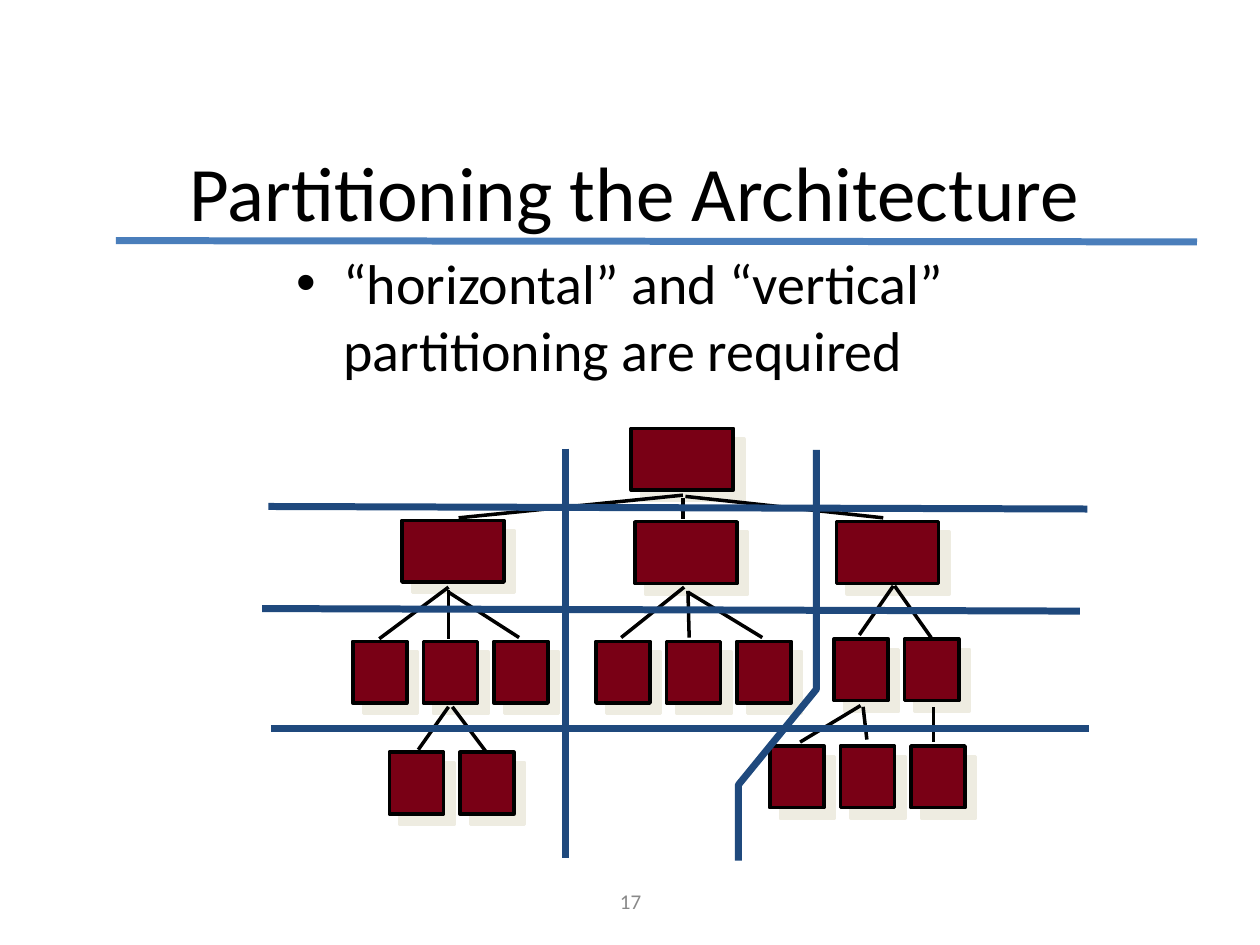
"""Build a slide on horizontal and vertical partitioning of an architecture."""
from lxml import etree
from pptx import Presentation
from pptx.dml.color import RGBColor
from pptx.enum.shapes import MSO_CONNECTOR, MSO_SHAPE
from pptx.enum.text import MSO_ANCHOR, MSO_AUTO_SIZE, PP_ALIGN
from pptx.oxml.ns import qn
from pptx.util import Inches, Pt

RECT = MSO_SHAPE.RECTANGLE
STRAIGHT = MSO_CONNECTOR.STRAIGHT
MIDDLE, TOP = MSO_ANCHOR.MIDDLE, MSO_ANCHOR.TOP
CENTER, LEFT = PP_ALIGN.CENTER, PP_ALIGN.LEFT
FIXED = MSO_AUTO_SIZE.NONE

FONT = "Calibri"
COLORS = {
    "ink": "000000",
    "box": "790015",
    "shade": "EEECE1",
    "cut": "1F497D",
    "rule": "4A7EBB",
    "page": "898989",
}
HIGH, WIDE, SMALL, STEP = 0.49, 0.81, 0.43, 0.56
PARENTS = [(5.01, 3.4), (3.19, 4.13), (5.04, 4.14), (6.64, 4.14)]
ROWS = [(2.8, 5.09, 3), (4.73, 5.09, 3), (6.62, 5.07, 2),
        (6.11, 5.92, 3), (3.09, 5.97, 2)]
LINKS = [
    (5.42, 3.93, 3.64, 4.11), (5.42, 3.95, 5.42, 4.12), (5.44, 3.94, 7.01, 4.11),
    (3.56, 4.66, 3.01, 5.07), (3.56, 4.68, 3.56, 5.07), (3.56, 4.7, 4.12, 5.06),
    (5.43, 4.66, 4.93, 5.06), (5.46, 4.69, 5.47, 5.06), (5.46, 4.7, 6.05, 5.06),
    (7.09, 4.65, 6.82, 5.04), (7.1, 4.65, 7.39, 5.06),
    (6.83, 5.6, 6.35, 5.89), (6.85, 5.61, 6.88, 5.87), (7.41, 5.61, 7.41, 5.89),
    (3.56, 5.61, 3.32, 5.95), (3.59, 5.61, 3.86, 5.97),
]
CUTS = [(2.08, 4.83, 8.57, 4.85), (2.15, 5.78, 8.64, 5.78),
        (4.49, 3.56, 4.49, 6.81), (2.13, 4.02, 8.63, 4.04)]
BEND = [(6.48, 3.57), (6.48, 5.47), (5.86, 6.23), (5.86, 6.83)]


def color(name):
    return RGBColor.from_string(COLORS[name])


def stroke(line, name, width):
    line.color.rgb = color(name)
    line.width = Pt(width)


def write(shape, area, text, size, name, align, anchor):
    shape.left, shape.top, shape.width, shape.height = map(Inches, area)
    frame = shape.text_frame
    frame.word_wrap = True
    frame.auto_size = FIXED
    frame.vertical_anchor = anchor
    frame.text = text
    para = frame.paragraphs[0]
    para.alignment = align
    para.font.name = FONT
    para.font.size = Pt(size)
    para.font.color.rgb = color(name)
    return para


def add_shade(shape):
    shape.shadow.inherit = False
    effects = shape._element.spPr.find(qn("a:effectLst"))
    shade = etree.SubElement(effects, qn("a:outerShdw"), dist=str(Pt(8.5)),
                             dir="2700000", algn="ctr", rotWithShape="0")
    etree.SubElement(shade, qn("a:srgbClr"), val=COLORS["shade"])


def add_box(slide, left, top, width):
    box = slide.shapes.add_shape(RECT, *map(Inches, (left, top, width, HIGH)))
    box.fill.solid()
    box.fill.fore_color.rgb = color("box")
    stroke(box.line, "ink", 2)
    add_shade(box)


def add_line(slide, ends, name, width):
    line = slide.shapes.add_connector(STRAIGHT, *map(Inches, ends))
    stroke(line.line, name, width)
    etree.SubElement(line._element.spPr, qn("a:effectLst"))


def add_bend(slide, points):
    first, *rest = [(Inches(x), Inches(y)) for x, y in points]
    build = slide.shapes.build_freeform(*first)
    build.add_line_segments(rest, close=False)
    bend = build.convert_to_shape()
    bend.fill.background()
    stroke(bend.line, "cut", 4)
    bend.shadow.inherit = False


def main():
    deck = Presentation()
    deck.slide_width, deck.slide_height = Inches(10), Inches(7.5)
    slide = deck.slides.add_slide(deck.slide_layouts[1])
    title, body = slide.placeholders
    page = slide.shapes.add_textbox(0, 0, 0, 0)
    write(page, (3.42, 6.95, 3.17, 0.4), "17", 12, "page", CENTER, MIDDLE)
    write(title, (1.33, 1.33, 7.42, 0.36), "Partitioning the Architecture",
          44, "ink", CENTER, MIDDLE)
    item = write(body, (2.25, 1.92, 6.67, 4.88),
                 "“horizontal” and “vertical” partitioning are required",
                 32, "ink", LEFT, TOP)
    item.space_before = Pt(8)
    for left, top in PARENTS:
        add_box(slide, left, top, WIDE)
    for left, top, count in ROWS:
        for i in range(count):
            add_box(slide, left + i * STEP, top, SMALL)
    for ends in LINKS:
        add_line(slide, ends, "ink", 2)
    for ends in CUTS:
        add_line(slide, ends, "cut", 4)
    add_bend(slide, BEND)
    add_line(slide, (0.92, 1.91, 9.5, 1.92), "rule", 4)
    deck.save("out.pptx")


if __name__ == "__main__":
    main()
